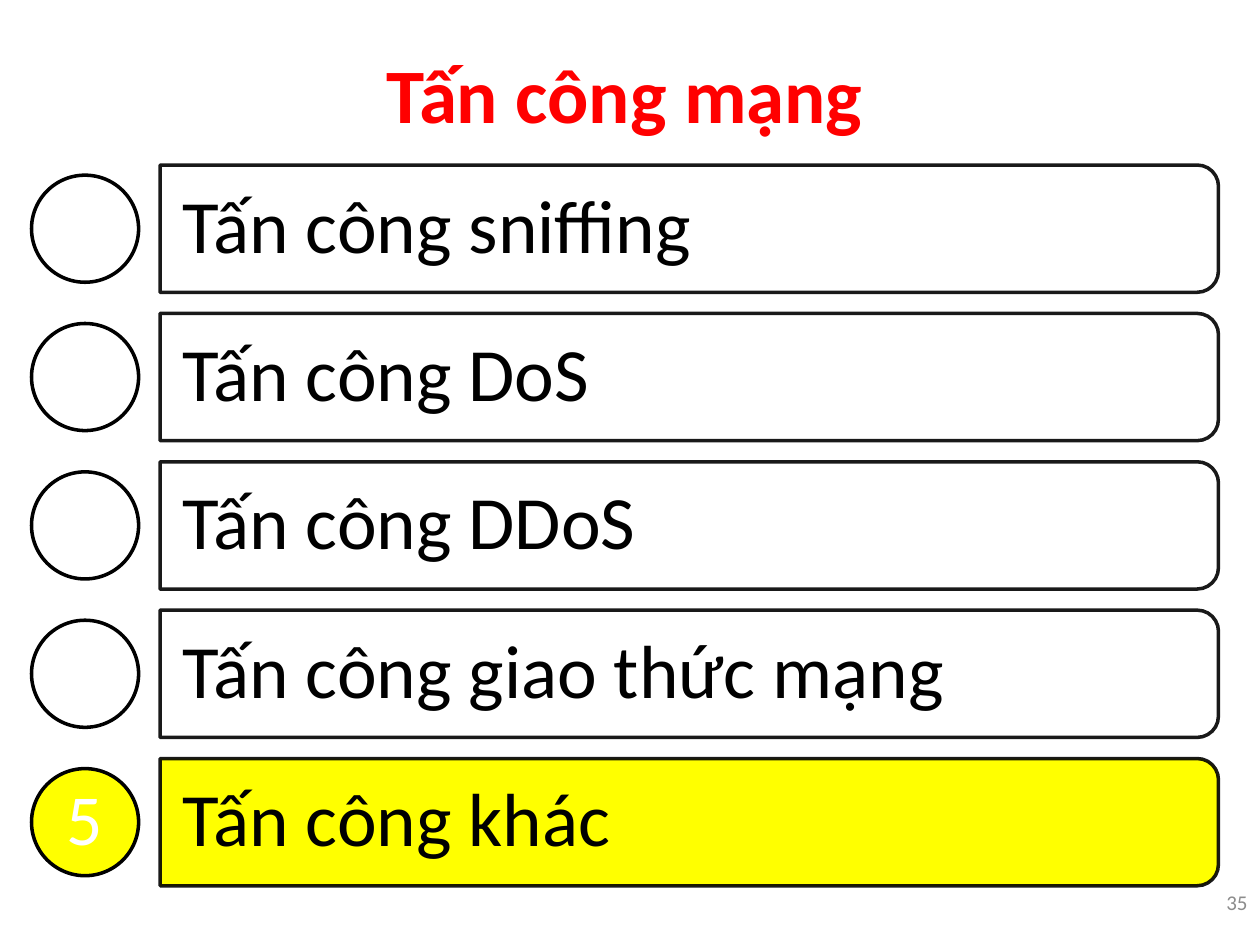
from dataclasses import dataclass

from lxml import etree
from pptx import Presentation
from pptx.dml.color import RGBColor
from pptx.enum.shapes import MSO_SHAPE as SHAPE
from pptx.enum.text import MSO_ANCHOR as ANCHOR, PP_ALIGN as ALIGN
from pptx.oxml.ns import qn
from pptx.util import Inches, Pt


@dataclass(frozen=True)
class Theme:
    """Colours, font and type sizes of the slide."""
    font: str = "Calibri"
    ink: str = "000000"
    paper: str = "FFFFFF"
    accent: str = "FFFF00"
    heading: str = "FF0000"
    muted: str = "8C8C8C"
    title_size: int = 44
    item_size: int = 43
    badge_size: int = 41
    page_size: int = 12
    line: int = 2


THEME = Theme()
TOPICS = ["Tấn công sniffing", "Tấn công DoS", "Tấn công DDoS",
          "Tấn công giao thức mạng", "Tấn công khác"]
CURRENT = 5


def write(sp, text, size, color, align=ALIGN.LEFT, bold=False, spacing=1.0, insets=(0.1, 0.05)):
    """Put one formatted paragraph into a shape."""
    tf = sp.text_frame
    side, edge = map(Inches, insets)
    frame = {"word_wrap": True, "vertical_anchor": ANCHOR.MIDDLE,
             "margin_left": side, "margin_right": side,
             "margin_top": edge, "margin_bottom": edge}
    for name, value in frame.items():
        setattr(tf, name, value)
    p = tf.paragraphs[0]
    p.alignment, p.line_spacing = align, spacing
    r = p.add_run()
    r.text = text
    for name, value in {"name": THEME.font, "size": Pt(size), "bold": bold}.items():
        setattr(r.font, name, value)
    r.font.color.rgb = RGBColor.from_string(color)


def add_text(slide, box, text, size, color, **fmt):
    """Add a text box at (left, top, width, height) in inches."""
    sp = slide.shapes.add_textbox(*map(Inches, box))
    write(sp, text, size, color, **fmt)


def add_outlined(slide, kind, box, fill):
    """Add a filled preset shape with the common outline."""
    sp = slide.shapes.add_shape(kind, *map(Inches, box))
    sp.shadow.inherit = False
    sp.fill.solid()
    sp.fill.fore_color.rgb = RGBColor.from_string(fill)
    sp.line.color.rgb = RGBColor.from_string(THEME.ink)
    sp.line.width = Pt(THEME.line)
    return sp


def set_alpha(color_parent, percent):
    """Set the opacity of the solid colour inside an XML element."""
    color = color_parent.find(qn("a:solidFill")).find(qn("a:srgbClr"))
    etree.SubElement(color, qn("a:alpha")).set("val", str(percent * 1000))


def add_bar(slide, box, text, active):
    """Draw a bar rounded on its right side, with its label."""
    left, top, width, height = box
    mid_x, mid_y = left + width / 2, top + height / 2
    upright = (mid_x - height / 2, mid_y - width / 2, height, width)
    sp = add_outlined(slide, SHAPE.ROUND_2_SAME_RECTANGLE, upright,
                      THEME.accent if active else THEME.paper)
    sp.rotation = 90
    sp_pr = sp._element.spPr
    set_alpha(sp_pr.find(qn("a:ln")), 90)
    if not active:
        set_alpha(sp_pr, 90)
    add_text(slide, (left, top + 0.05, width - 0.05, height - 0.1), text,
             THEME.item_size, THEME.ink, spacing=0.9, insets=(0.18, 0.12))


def add_badge(slide, box, number, active):
    """Draw a circle, numbered when its topic is the current one."""
    sp = add_outlined(slide, SHAPE.OVAL, box, THEME.accent if active else THEME.paper)
    if active:
        write(sp, str(number), THEME.badge_size, THEME.paper,
              align=ALIGN.CENTER, spacing=0.9, insets=(0, 0))


def add_agenda(slide, box, topics, current):
    """Stack one badge and bar per topic, evenly spaced in the box."""
    left, top, width, height = box
    bar_h, badge, indent = 1.01, 0.85, 1.02
    step = (height - bar_h) / (len(topics) - 1)
    for i, topic in enumerate(topics):
        y = top + i * step
        active = i + 1 == current
        add_bar(slide, (left + indent, y, width - indent, bar_h), topic, active)
        add_badge(slide, (left, y + (bar_h - badge) / 2, badge, badge), i + 1, active)


def add_title(slide, box, text):
    """Place the centred slide title."""
    add_text(slide, box, text, THEME.title_size, THEME.heading, align=ALIGN.CENTER, bold=True)


def add_page_number(slide, box, number):
    """Place the page number against the right edge."""
    add_text(slide, box, str(number), THEME.page_size, THEME.muted, align=ALIGN.RIGHT)


def main():
    """Build and save the slide."""
    prs = Presentation()
    prs.slide_width, prs.slide_height = Inches(10), Inches(7.5)
    slide = prs.slides.add_slide(prs.slide_layouts[6])
    add_agenda(slide, (0.25, 1.31, 9.42, 5.72), TOPICS, CURRENT)
    add_title(slide, (0.25, 0.3, 9.42, 0.87), "Tấn công mạng")
    add_page_number(slide, (9.33, 6.82, 0.67, 0.68), 35)
    prs.save("out.pptx")


if __name__ == "__main__":
    main()
